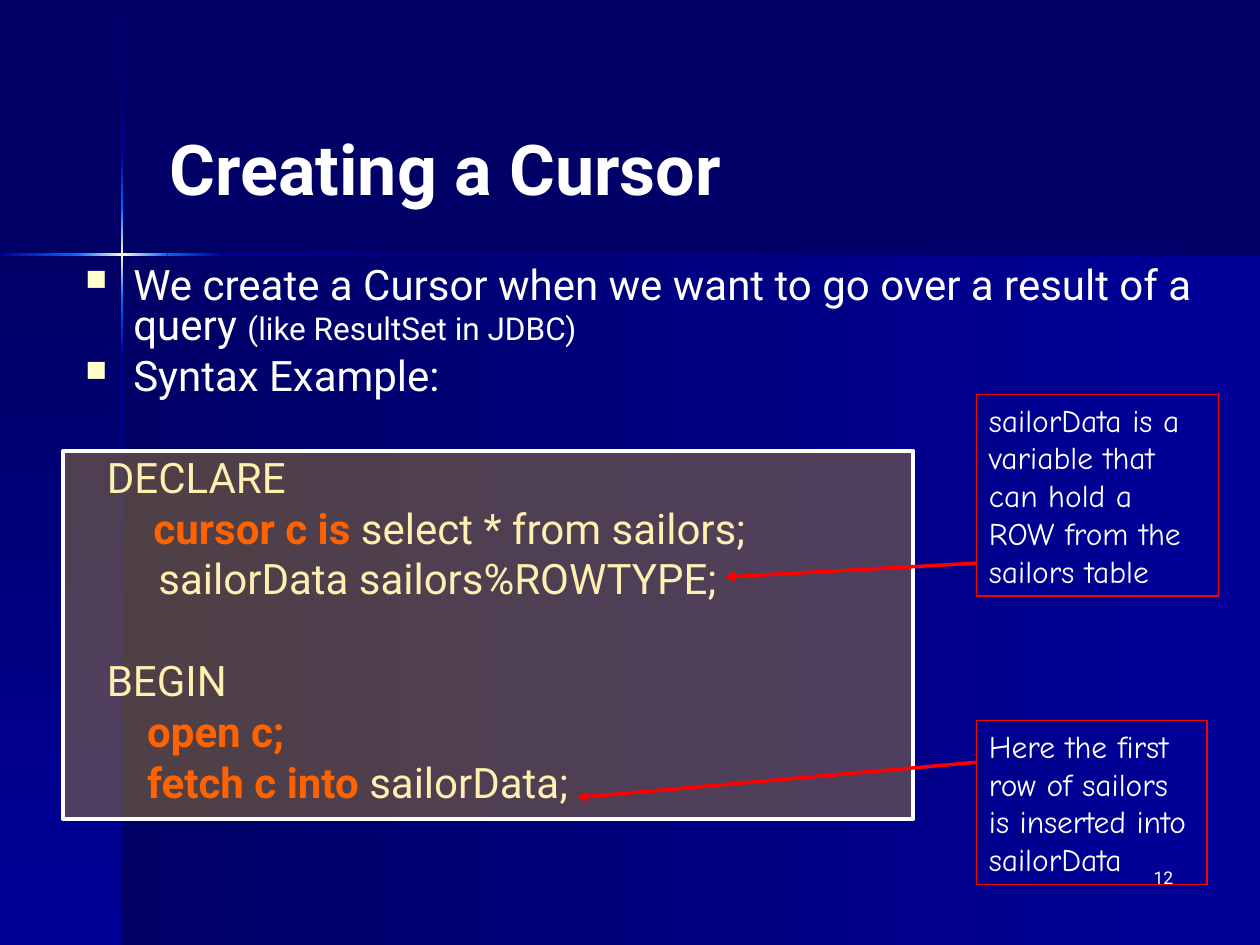
from itertools import pairwise

from lxml.etree import SubElement
from pptx import Presentation
from pptx.dml.color import RGBColor
from pptx.enum.shapes import MSO_CONNECTOR, MSO_SHAPE
from pptx.enum.text import MSO_ANCHOR, PP_ALIGN
from pptx.oxml.ns import qn
from pptx.util import Inches, Pt

COLORS = {
    "night": "000066",
    "navy": "000099",
    "glow": "0066FF",
    "cream": "FFFFCC",
    "white": "FFFFFF",
    "keyword": "FF3300",
    "amber": "FFCC00",
    "red": "FF0000",
}
BODY_FONT = "Roboto"
NOTE_FONT = "Comic Neue"
BULLET_INDENT = 0.38


def rgb(name):
    return RGBColor.from_string(COLORS[name])


def add_panel(slide, box, fill=None, line=None, width=0.75):
    panel = slide.shapes.add_shape(MSO_SHAPE.RECTANGLE, *map(Inches, box))
    panel.shadow.inherit = False
    if fill:
        panel.fill.solid()
        panel.fill.fore_color.rgb = rgb(fill)
    else:
        panel.fill.background()
    if line:
        panel.line.color.rgb = rgb(line)
        panel.line.width = Pt(width)
    else:
        panel.line.fill.background()
    return panel


def add_gradient(slide, box, start, end, vertical=False):
    band = add_panel(slide, box)
    band.fill.gradient()
    band.fill.gradient_angle = 270 if vertical else 0
    for stop, color in zip(band.fill.gradient_stops, (start, end)):
        stop.color.rgb = rgb(color)


def write(paragraph, text, size=24, font=BODY_FONT, color="white", bold=False):
    run = paragraph.add_run()
    run.text = text
    run.font.size = Pt(size)
    run.font.name = font
    run.font.bold = bold
    run.font.color.rgb = rgb(color)


def add_textbox(slide, box):
    frame = slide.shapes.add_textbox(*map(Inches, box)).text_frame
    frame.word_wrap = True
    return frame


def add_backdrop(slide, box):
    left, top, width, height = box
    cross_x, cross_y, thickness = left + 0.97, top + 2.02, 0.02
    right, bottom = left + width, top + height
    add_gradient(slide, (cross_x, cross_y, right - cross_x, bottom - cross_y),
                 "night", "navy")
    add_gradient(slide, (left, cross_y, cross_x - left, bottom - cross_y),
                 "night", "navy", vertical=True)

    beam = [(top, "night"), (1.21, "navy"), (1.65, "glow"), (cross_y, "cream"),
            (2.38, "glow"), (2.82, "navy"), (bottom, "night")]
    for (start, first), (end, last) in pairwise(beam):
        add_gradient(slide, (cross_x - thickness / 2, start, thickness, end - start),
                     first, last, vertical=True)

    horizon = [(left, "navy"), (0.6, "glow"), (cross_x, "cream"),
               (1.33, "glow"), (1.77, "navy"), (right, "night")]
    for (start, first), (end, last) in pairwise(horizon):
        add_gradient(slide, (start, cross_y - thickness / 2, end - start, thickness),
                     first, last)


def add_title(slide, box):
    frame = add_textbox(slide, box)
    frame.vertical_anchor = MSO_ANCHOR.MIDDLE
    write(frame.paragraphs[0], "Creating a Cursor", size=40, bold=True)


def set_indent(paragraph, margin, bullet=False):
    properties = paragraph._p.get_or_add_pPr()
    properties.set("marL", str(Inches(margin)))
    properties.set("indent", str(Inches(-margin if bullet else 0)))
    if bullet:
        tint = SubElement(properties, qn("a:buClr"))
        SubElement(tint, qn("a:srgbClr"), val=COLORS["cream"])
        SubElement(properties, qn("a:buSzPct"), val="70000")
        SubElement(properties, qn("a:buChar"), char="■")


def add_body(slide, box):
    keyword = {"color": "keyword", "bold": True}
    bullets = [
        (4.5, [("We create a Cursor when we want to go over a result of a query ", {}),
               ("(like ResultSet in JDBC)", {"size": 18})]),
        (6, [("Syntax Example:", {})]),
    ]
    code = [
        (35, 0.17, [("DECLARE", {})]),
        (6, 0.54, [("cursor c is", keyword), (" select * from sailors;", {})]),
        (6, 0.58, [("sailorData sailors%ROWTYPE;", {})]),
        (35, 0.17, [("BEGIN", {})]),
        (6, 0.49, [("open c;", keyword)]),
        (6, 0.49, [("fetch c into", keyword), (" sailorData;", {})]),
    ]
    lines = [(gap, BULLET_INDENT, runs, True) for gap, runs in bullets]
    lines += [(*line, False) for line in code]

    frame = add_textbox(slide, box)
    for index, (gap, margin, runs, bullet) in enumerate(lines):
        paragraph = frame.add_paragraph() if index else frame.paragraphs[0]
        paragraph.line_spacing = 0.8
        paragraph.space_before = Pt(gap)
        set_indent(paragraph, margin, bullet)
        for text, style in runs:
            write(paragraph, text, **style)


def add_page_number(slide, box):
    paragraph = add_textbox(slide, box).paragraphs[0]
    paragraph.alignment = PP_ALIGN.RIGHT
    write(paragraph, "12", size=10)


def add_code_frame(slide, box):
    code_frame = add_panel(slide, box, fill="amber", line="white", width=2.25)
    tint = code_frame.fill._xPr.find(qn("a:solidFill"))[0]
    SubElement(tint, qn("a:alpha"), val="31000")


def add_note(slide, box, text, tail_y, target):
    note = add_panel(slide, box, line="red")
    frame = note.text_frame
    frame.word_wrap = True
    frame.vertical_anchor = MSO_ANCHOR.TOP
    frame.paragraphs[0].alignment = PP_ALIGN.LEFT
    write(frame.paragraphs[0], text, size=18, font=NOTE_FONT)

    arrow = slide.shapes.add_connector(
        MSO_CONNECTOR.STRAIGHT, *map(Inches, (box[0], tail_y, *target)))
    arrow.line.color.rgb = rgb("red")
    arrow.line.width = Pt(2)
    SubElement(arrow.line._get_or_add_ln(), qn("a:tailEnd"), type="triangle")
    SubElement(arrow._element.spPr, qn("a:effectLst"))


def main():
    deck = Presentation()
    deck.slide_width, deck.slide_height = Inches(10), Inches(7.5)
    slide = deck.slides.add_slide(deck.slide_layouts[6])
    slide.background.fill.solid()
    slide.background.fill.fore_color.rgb = rgb("night")

    add_backdrop(slide, (0, 0, 10, 7.5))
    add_title(slide, (1.25, 1.08, 8.33, 0.5))
    add_body(slide, (0.58, 2.08, 9, 4.58))
    add_page_number(slide, (7.33, 6.83, 2.08, 0.5))
    add_code_frame(slide, (0.5, 3.58, 6.75, 2.92))
    add_note(slide, (7.75, 3.13, 1.92, 1.6),
             "sailorData is a variable that can hold a ROW from the sailors table",
             4.47, (5.75, 4.58))
    add_note(slide, (7.75, 5.72, 1.83, 1.3),
             "Here the first row of sailors is inserted into sailorData",
             6.05, (4.58, 6.33))
    deck.save("out.pptx")


if __name__ == "__main__":
    main()
